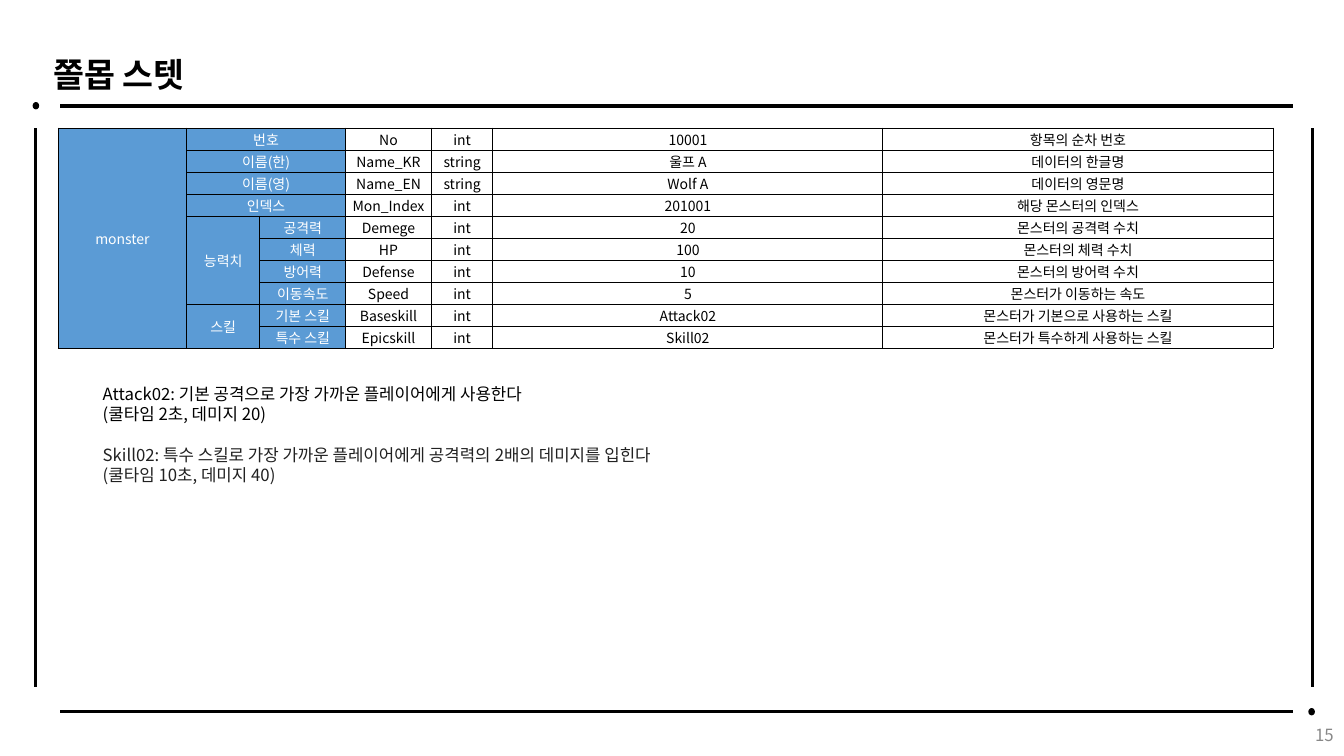
from lxml.etree import SubElement
from pptx import Presentation
from pptx.dml.color import RGBColor
from pptx.enum.shapes import MSO_CONNECTOR, MSO_SHAPE
from pptx.enum.text import MSO_ANCHOR, PP_ALIGN
from pptx.oxml import parse_xml
from pptx.oxml.ns import nsdecls, qn
from pptx.util import Cm, Pt

FONT = "Noto Sans CJK KR"
BLACK, WHITE, BLUE = "000000", "FFFFFF", "5B9BD5"


def rgb(value):
    return RGBColor.from_string(value)


def add_run(p, text, size, color, bold=False):
    r = p.add_run()
    r.text = text
    r.font.size = Pt(size)
    r.font.bold = bold
    r.font.color.rgb = rgb(color)
    r.font.name = FONT
    SubElement(r.font._element, qn("a:ea"), typeface=FONT)


prs = Presentation()
prs.slide_width, prs.slide_height = Cm(33.87), Cm(19.05)
s = prs.slides.add_slide(prs.slide_layouts[6])

for x, y, w, h, text, size, color, bold, align in [
    (1.09, 0.1, 29.21, 3.68, "쫄몹 스텟", 24, BLACK, True, PP_ALIGN.LEFT),
    (26.24, 18.01, 7.62, 1.02, "15", 12, "888888", False, PP_ALIGN.RIGHT),
]:
    tf = s.shapes.add_textbox(Cm(x), Cm(y), Cm(w), Cm(h)).text_frame
    tf.word_wrap = True
    tf.vertical_anchor = MSO_ANCHOR.MIDDLE
    p = tf.paragraphs[0]
    p.alignment = align
    p.line_spacing = 0.9 if bold else 1.0
    add_run(p, text, size, color, bold)

for x1, y1, x2, y2 in [
    (1.52, 2.67, 32.59, 2.67),
    (1.52, 17.93, 32.59, 17.93),
    (0.89, 3.23, 0.89, 17.32),
    (33.07, 3.23, 33.07, 17.32),
]:
    line = s.shapes.add_connector(MSO_CONNECTOR.STRAIGHT, Cm(x1), Cm(y1), Cm(x2), Cm(y2))
    line.line.color.rgb = rgb(BLACK)
    line.line.width = Pt(2.25)
    SubElement(line._element.spPr, qn("a:effectLst"))

for x, y in [(32.99, 17.86), (0.84, 2.59)]:
    sp = s.shapes.add_shape(MSO_SHAPE.OVAL, Cm(x), Cm(y), Cm(0.13), Cm(0.15))
    sp.shadow.inherit = False
    sp.fill.solid()
    sp.fill.fore_color.rgb = rgb(BLACK)
    sp.line.color.rgb = rgb(BLACK)
    sp.line.width = Pt(1)

rows = [
    ("monster", "번호", "", "No", "int", "10001", "항목의 순차 번호"),
    ("", "이름(한)", "", "Name_KR", "string", "울프 A", "데이터의 한글명"),
    ("", "이름(영)", "", "Name_EN", "string", "Wolf A", "데이터의 영문명"),
    ("", "인덱스", "", "Mon_Index", "int", "201001", "해당 몬스터의 인덱스"),
    ("", "능력치", "공격력", "Demege", "int", "20", "몬스터의 공격력 수치"),
    ("", "", "체력", "HP", "int", "100", "몬스터의 체력 수치"),
    ("", "", "방어력", "Defense", "int", "10", "몬스터의 방어력 수치"),
    ("", "", "이동속도", "Speed", "int", "5", "몬스터가 이동하는 속도"),
    ("", "스킬", "기본 스킬", "Baseskill", "int", "Attack02", "몬스터가 기본으로 사용하는 스킬"),
    ("", "", "특수 스킬", "Epicskill", "int", "Skill02", "몬스터가 특수하게 사용하는 스킬"),
]
widths = [3.23, 1.85, 2.16, 2.16, 1.55, 9.83, 9.83]
row_height = 0.554
header_cols = 3

table = s.shapes.add_table(
    len(rows), len(widths), Cm(1.47), Cm(3.23), Cm(sum(widths)), Cm(row_height * len(rows))
).table
table.first_row = table.horz_banding = False
for col, width in zip(table.columns, widths):
    col.width = Cm(width)
for i, row in enumerate(rows):
    table.rows[i].height = Cm(row_height)
    for j, text in enumerate(row):
        cell = table.cell(i, j)
        cell.margin_left = cell.margin_right = cell.margin_top = cell.margin_bottom = 0
        cell.vertical_anchor = MSO_ANCHOR.MIDDLE
        if j < header_cols:
            cell.fill.solid()
            cell.fill.fore_color.rgb = rgb(BLUE)
        else:
            cell.fill.background()
        tcPr = cell._tc.get_or_add_tcPr()
        for k, side in enumerate(("lnL", "lnR", "lnT", "lnB")):
            tcPr.insert(k, parse_xml(
                f'<a:{side} {nsdecls("a")} w="9525"><a:solidFill>'
                f'<a:srgbClr val="{BLACK}"/></a:solidFill></a:{side}>'
            ))
        p = cell.text_frame.paragraphs[0]
        p.alignment = PP_ALIGN.CENTER
        p.font.size = Pt(10)
        if text:
            add_run(p, text, 10, WHITE if j < header_cols else BLACK)

for top, left, bottom, right in [
    (0, 0, 9, 0), (0, 1, 0, 2), (1, 1, 1, 2), (2, 1, 2, 2),
    (3, 1, 3, 2), (4, 1, 7, 1), (8, 1, 9, 1),
]:
    table.cell(top, left).merge(table.cell(bottom, right))

tf = s.shapes.add_textbox(Cm(2.34), Cm(9.55), Cm(26.62), Cm(2.82)).text_frame
tf.word_wrap = True
for i, (text, color, before) in enumerate([
    ("Attack02: 기본 공격으로 가장 가까운 플레이어에게 사용한다", BLACK, 0),
    ("(쿨타임 2초, 데미지 20)", BLACK, 0),
    ("Skill02: 특수 스킬로 가장 가까운 플레이어에게 공격력의 2배의 데미지를 입힌다", "212121", 14.4),
    ("(쿨타임 10초, 데미지 40)", "212121", 0),
]):
    p = tf.add_paragraph() if i else tf.paragraphs[0]
    if before:
        p.space_before = Pt(before)
    add_run(p, text, 12, color)

prs.save("out.pptx")
